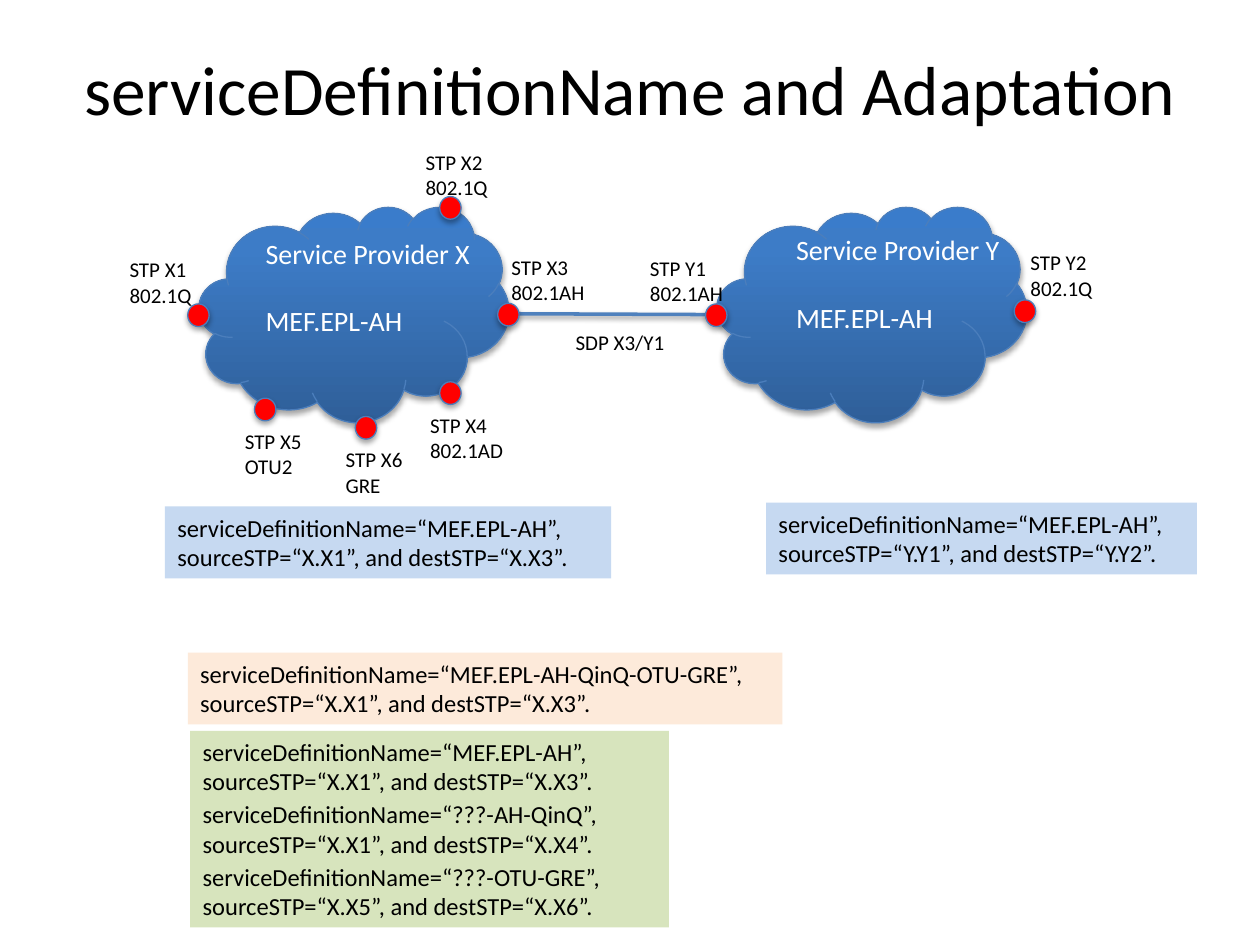
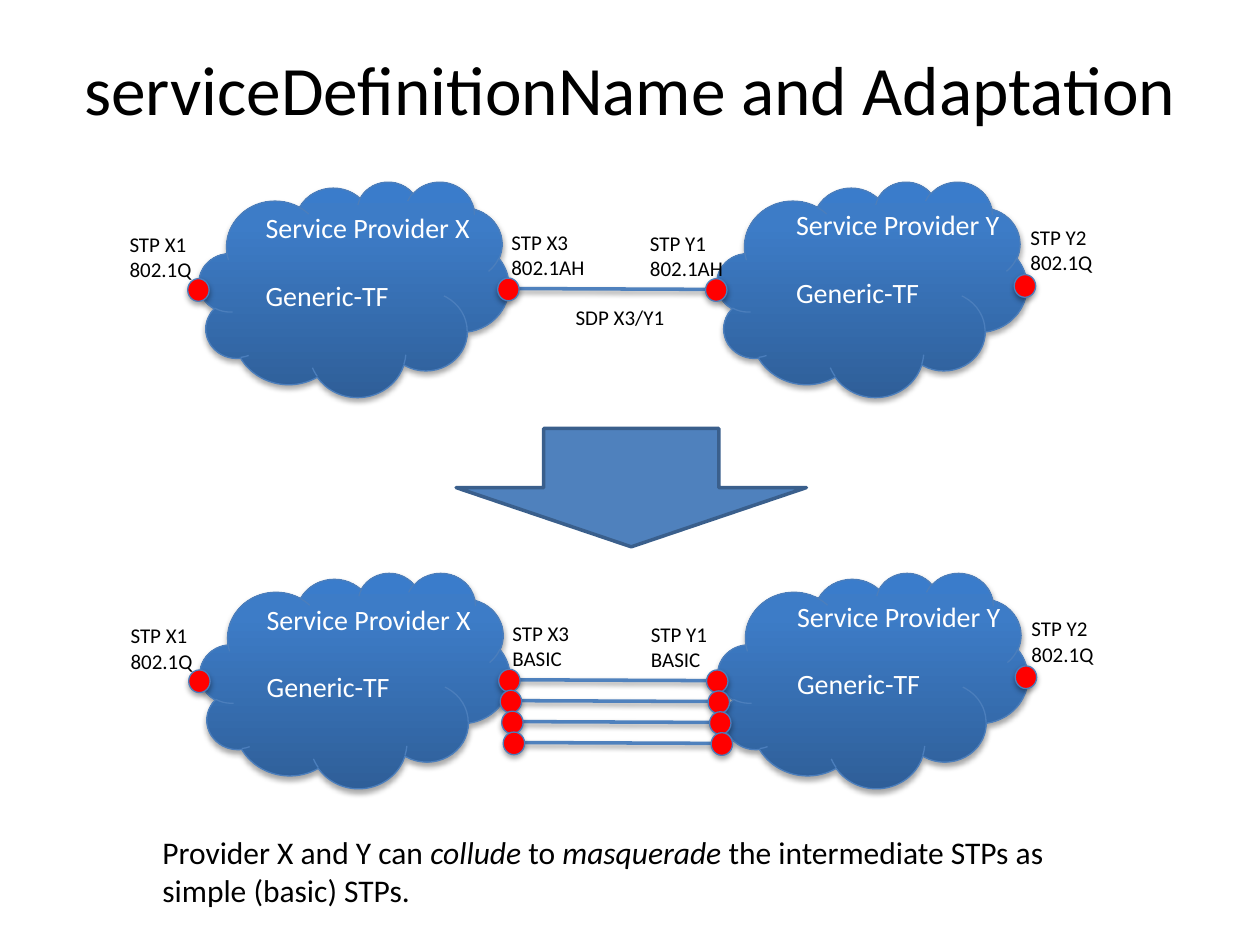
from lxml import etree
from pptx import Presentation
from pptx.dml.color import RGBColor
from pptx.enum.shapes import MSO_CONNECTOR, MSO_SHAPE
from pptx.enum.text import MSO_ANCHOR, MSO_AUTO_SIZE, PP_ALIGN
from pptx.oxml.ns import qn
from pptx.util import Inches, Pt

CLOUD, DOT = MSO_SHAPE.CLOUD, MSO_SHAPE.OVAL
RECT, DOWN_ARROW = MSO_SHAPE.RECTANGLE, MSO_SHAPE.DOWN_ARROW
STRAIGHT = MSO_CONNECTOR.STRAIGHT
LEFT, CENTER = PP_ALIGN.LEFT, PP_ALIGN.CENTER
TOP, MIDDLE = MSO_ANCHOR.TOP, MSO_ANCHOR.MIDDLE
GROW, FIXED = MSO_AUTO_SIZE.SHAPE_TO_FIT_TEXT, MSO_AUTO_SIZE.NONE

WIDTH, HEIGHT = Inches(10), Inches(7.5)
COLS, ROWS = 100, 75
FONT = "Calibri"
BLACK, WHITE, RED = "000000", "FFFFFF", "FF0000"
OUTLINE, LINK, ARROW_EDGE = "4B7EBC", "4F81BD", "3A5F8C"
BLUE, PEACH, GREEN = "C6D9F1", "FDEADA", "D7E4BD"
CLOUD_STOPS = [(0, "2F5F99"), (80, "3D7CC7"), (100, "3A7CCB")]
TITLE = "serviceDefinitionName and Adaptation"
LABEL_W, LABEL_H = {"802.1Q": 7, "802.1AH": 7.9, "802.1AD": 7.9}, 5
LINK_STEP_X, LINK_STEP_Y = 0.12, 1.66


def rgb(value):
    return RGBColor.from_string(value)


def grid(x, y):
    return round(WIDTH * x / COLS), round(HEIGHT * y / ROWS)


def add_shadow(sp, alpha, dist):
    effects = etree.SubElement(sp.element.spPr, qn("a:effectLst"))
    shadow = etree.SubElement(effects, qn("a:outerShdw"), blurRad=str(Pt(3.1)),
                              dist=str(Pt(dist)), dir="5400000", rotWithShape="0")
    color = etree.SubElement(shadow, qn("a:srgbClr"), val=BLACK)
    etree.SubElement(color, qn("a:alpha"), val=str(alpha * 1000))


def fill_gradient(sp, stops):
    sp.fill.gradient()
    sp.fill.gradient_angle = 90
    stop_list = sp.element.spPr.find(qn("a:gradFill")).find(qn("a:gsLst"))
    stop_list.clear()
    for position, value in stops:
        stop = etree.SubElement(stop_list, qn("a:gs"), pos=str(position * 1000))
        etree.SubElement(stop, qn("a:srgbClr"), val=value)


def write(sp, *lines, size=12, color=BLACK, align=LEFT, anchor=TOP,
          wrap=False, fit=GROW, gap=0):
    tf = sp.text_frame
    tf.word_wrap, tf.auto_size, tf.vertical_anchor = wrap, fit, anchor
    for i, line in enumerate(lines):
        p = tf.paragraphs[0] if i == 0 else tf.add_paragraph()
        p.alignment = align
        if i:
            p.space_before = Pt(gap)
        for j, part in enumerate(line.split("*")):
            r = p.add_run()
            r.text = part
            r.font.name, r.font.size = FONT, Pt(size)
            r.font.color.rgb = rgb(color)
            r.font.italic = j % 2 == 1


def add_text(s, x, y, w, h, *lines, **style):
    sp = s.shapes.add_textbox(*grid(x, y), *grid(w, h))
    write(sp, *lines, **style)


def add_shape(s, kind, x, y, w, h, fill, line=None, weight=0.75, shadow=False):
    sp = s.shapes.add_shape(kind, *grid(x, y), *grid(w, h))
    if isinstance(fill, list):
        fill_gradient(sp, fill)
    else:
        sp.fill.solid()
        sp.fill.fore_color.rgb = rgb(fill)
    if line:
        sp.line.color.rgb = rgb(line)
        sp.line.width = Pt(weight)
    else:
        sp.line.fill.background()
    if shadow:
        add_shadow(sp, 35, 1.8)
    else:
        sp.shadow.inherit = False
    return sp


def add_cloud(s, x, y):
    add_shape(s, CLOUD, x, y, 24.6, 17.1, CLOUD_STOPS, OUTLINE, shadow=True)


def add_dot(s, x, y):
    add_shape(s, DOT, x, y, 1.7, 1.8, RED, OUTLINE, shadow=True)


def add_link(s, x, y):
    cx = s.shapes.add_connector(STRAIGHT, *grid(x, y), *grid(x + 16.5, y + 0.07))
    cx.line.color.rgb = rgb(LINK)
    cx.line.width = Pt(2)
    add_shadow(cx, 38, 1.6)


def add_port_label(s, x, y, name, encoding):
    add_text(s, x, y, LABEL_W.get(encoding, 6.6), LABEL_H, f"STP {name}", encoding)


def add_note(s, x, y, w, fill, service, source, dest):
    sp = add_shape(s, RECT, x, y, w, 5.7, fill)
    write(sp, f"serviceDefinitionName=“{service}”, "
              f"sourceSTP=“{source}”, and destSTP=“{dest}”.", size=14, wrap=True)


def add_network(s, x, y, service, encoding, links=1):
    for cloud_x in (15.8, 56.9):
        add_cloud(s, x + cloud_x, y)
    for i in range(links):
        dx, dy = x + i * LINK_STEP_X, y + i * LINK_STEP_Y
        add_link(s, dx + 40.4, dy + 8.5)
        add_dot(s, dx + 39.5, dy + 7.67)
        add_dot(s, dx + 56, dy + 7.72)
    add_dot(s, x + 80.5, y + 7.4)
    add_dot(s, x + 14.9, y + 7.72)
    add_port_label(s, x + 9.3, y + 3.5, "X1", "802.1Q")
    add_port_label(s, x + 39.6, y + 3.3, "X3", encoding)
    add_port_label(s, x + 50.6, y + 3.4, "Y1", encoding)
    add_port_label(s, x + 80.8, y + 2.95, "Y2", "802.1Q")
    if links == 1:
        add_text(s, x + 44.7, y + 9.3, 9.2, 3, "SDP X3/Y1")
    for name, left, top in (("X", 20.1, 1.85), ("Y", 62.2, 1.6)):
        add_text(s, x + left, y + top, 18.5, 9.1, f"Service Provider {name}",
                 service, size=16, color=WHITE, gap=19.5)


def add_titled_slide(prs):
    s = prs.slides.add_slide(prs.slide_layouts[6])
    add_text(s, 5, 3, 90, 7.9, TITLE, size=39.6, align=CENTER, anchor=MIDDLE,
             wrap=True, fit=FIXED)
    return s


def build_adaptation(prs):
    s = add_titled_slide(prs)
    add_network(s, 0, 16.4, "MEF.EPL-AH", "802.1AH")
    add_dot(s, 34.9, 15.6)
    add_port_label(s, 32.8, 11.4, "X2", "802.1Q")
    for name, encoding, x, y in (("X4", "802.1AD", 34.9, 30.3),
                                 ("X5", "OTU2", 20.2, 31.6),
                                 ("X6", "GRE", 28.2, 33.05)):
        add_dot(s, x, y)
        add_port_label(s, x - 1.75, y + 1.93, name, encoding)
    add_note(s, 13.1, 40.2, 35.4, BLUE, "MEF.EPL-AH", "X.X1", "X.X3")
    add_note(s, 60.8, 39.9, 34.2, BLUE, "MEF.EPL-AH", "Y.Y1", "Y.Y2")
    add_note(s, 14.9, 51.8, 47.2, PEACH, "MEF.EPL-AH-QinQ-OTU-GRE", "X.X1", "X.X3")
    steps = (("MEF.EPL-AH", "X.X1", "X.X3"), ("???-AH-QinQ", "X.X1", "X.X4"),
             ("???-OTU-GRE", "X.X5", "X.X6"))
    for i, step in enumerate(steps):
        add_note(s, 15.1, 58 + i * 4.95, 38, GREEN, *step)


def build_masquerade(prs):
    s = add_titled_slide(prs)
    add_network(s, 0, 14.4, "Generic-TF", "802.1AH")
    add_shape(s, DOWN_ARROW, 36.2, 34, 27.8, 9.4, LINK, ARROW_EDGE, weight=2)
    add_network(s, 0.08, 45.45, "Generic-TF", "BASIC", links=4)
    add_text(s, 11.9, 65.6, 75.9, 7.1,
             "Provider X and Y can *collude* to *masquerade* the intermediate "
             "STPs as simple (basic) STPs.", size=18, wrap=True)


def main():
    prs = Presentation()
    prs.slide_width, prs.slide_height = WIDTH, HEIGHT
    build_adaptation(prs)
    build_masquerade(prs)
    prs.save("out.pptx")


if __name__ == "__main__":
    main()
